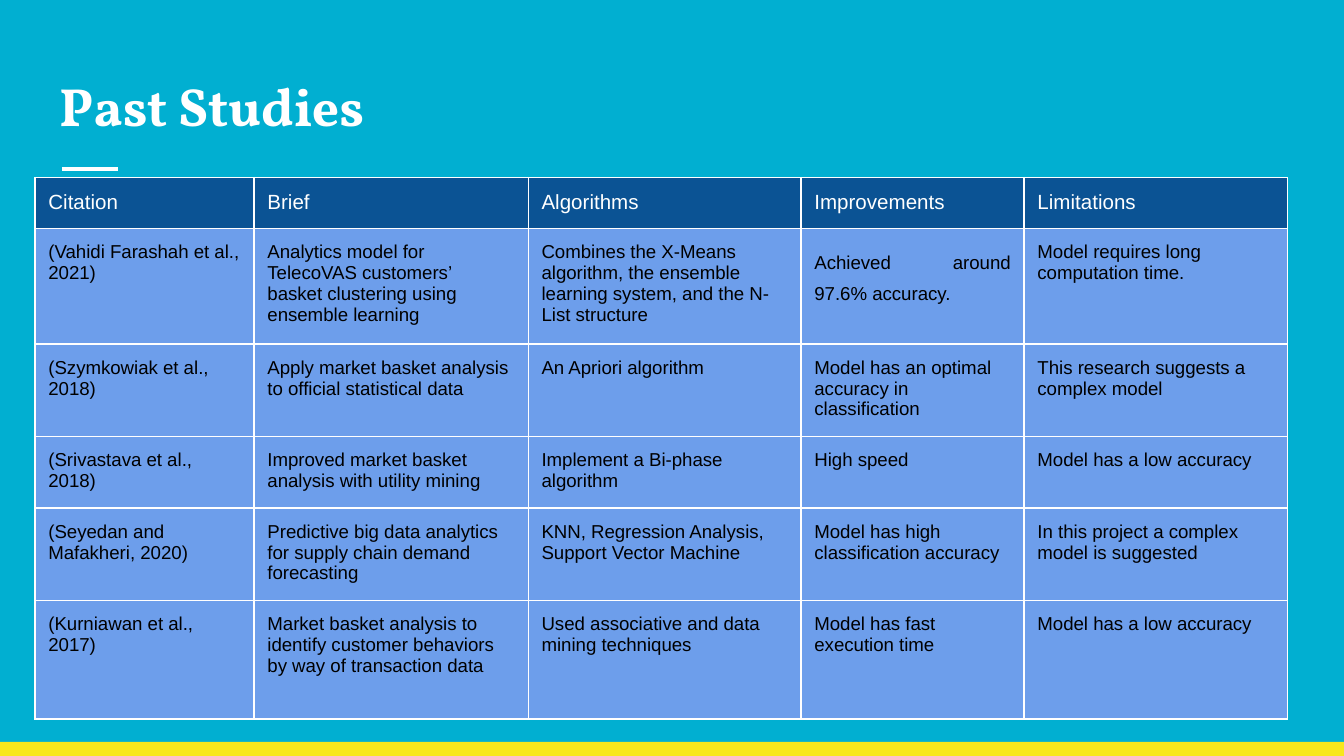
from lxml import etree
from pptx import Presentation
from pptx import util as u
from pptx.dml.color import RGBColor
from pptx.enum import shapes, text
from pptx.oxml import ns

Inches, Pt = u.Inches, u.Pt

TEAL = RGBColor(0x01, 0xAF, 0xD1)
YELLOW = RGBColor(0xF8, 0xE7, 0x1C)
NAVY = RGBColor(0x0B, 0x53, 0x94)
BLUE = RGBColor(0x6D, 0x9E, 0xEB)
WHITE = RGBColor(0xFF, 0xFF, 0xFF)
BLACK = RGBColor(0x00, 0x00, 0x00)

SLIDE_WIDTH = Inches(10)
SLIDE_HEIGHT = SLIDE_WIDTH * 9 // 16

TITLE = "Past Studies"
HEADERS = ["Citation", "Brief", "Algorithms", "Improvements", "Limitations"]
STUDIES = [
    ["(Vahidi Farashah et al., 2021)",
     "Analytics model for TelecoVAS customers’\nbasket clustering using ensemble learning",
     "Combines the X-Means algorithm, the ensemble learning system, and the N-List structure",
     "Achieved around 97.6% accuracy.",
     "Model requires long computation time."],
    ["(Szymkowiak et al., 2018)",
     "Apply market basket analysis to official statistical data",
     "An Apriori algorithm",
     "Model has an optimal accuracy in classification",
     "This research suggests a complex model"],
    ["(Srivastava et al., 2018)",
     "Improved market basket analysis with utility mining",
     "Implement a Bi-phase algorithm",
     "High speed",
     "Model has a low accuracy"],
    ["(Seyedan and Mafakheri, 2020)",
     "Predictive big data analytics for supply chain demand forecasting",
     "KNN, Regression Analysis,\nSupport Vector Machine",
     "Model has high classification accuracy",
     "In this project a complex model is suggested"],
    ["(Kurniawan et al., 2017)",
     "Market basket analysis to identify customer behaviors by way of transaction data",
     "Used associative and data mining techniques",
     "Model has fast execution time",
     "Model has a low accuracy"],
]
COLUMN_WIDTHS = [1.63, 2.04, 2.03, 1.66, 1.96]
ROW_HEIGHTS = [0.38, 0.86, 0.69, 0.53, 0.69, 0.88]
JUSTIFIED_CELL = (1, 3)


def write(frame, content, size, color, font="Arial", bold=False):
    frame.text = content
    for paragraph in frame.paragraphs:
        paragraph.alignment = text.PP_ALIGN.LEFT
        for run in paragraph.runs:
            run.font.name = font
            run.font.size = Pt(size)
            run.font.bold = bold
            run.font.color.rgb = color


def add_borders(cell, color, width):
    properties = cell._tc.get_or_add_tcPr()
    for index, side in enumerate(("lnL", "lnR", "lnT", "lnB")):
        line = etree.Element(ns.qn(f"a:{side}"), w=str(Pt(width)))
        fill = etree.SubElement(line, ns.qn("a:solidFill"))
        etree.SubElement(fill, ns.qn("a:srgbClr"), val=str(color))
        properties.insert(index, line)


def add_title(slide):
    title = slide.shapes.title
    title.left, title.top = Inches(0.34), Inches(0.41)
    title.width, title.height = Inches(9.32), Inches(0.71)
    frame = title.text_frame
    frame.margin_left = frame.margin_right = Inches(0.1)
    frame.margin_top = frame.margin_bottom = Inches(0.1)
    frame.vertical_anchor = text.MSO_ANCHOR.BOTTOM
    frame.auto_size = text.MSO_AUTO_SIZE.NONE
    frame.word_wrap = True
    write(frame, TITLE, 28.8, WHITE, font="Vollkorn", bold=True)


def add_decoration(slide):
    top = Inches(5.52)
    bar = slide.shapes.add_shape(
        shapes.MSO_SHAPE.RECTANGLE, 0, top, SLIDE_WIDTH, SLIDE_HEIGHT - top)
    bar.shadow.inherit = False
    bar.fill.solid()
    bar.fill.fore_color.rgb = YELLOW
    bar.line.fill.background()

    rule = slide.shapes.add_connector(
        shapes.MSO_CONNECTOR.STRAIGHT, Inches(0.46), Inches(1.26), Inches(0.88), Inches(1.26))
    rule.line.color.rgb = WHITE
    rule.line.width = Pt(2.25)
    etree.SubElement(rule._element.spPr, ns.qn("a:effectLst"))


def add_studies_table(slide):
    rows = [HEADERS] + STUDIES
    table = slide.shapes.add_table(
        len(rows), len(HEADERS), Inches(0.26), Inches(1.32),
        Inches(sum(COLUMN_WIDTHS)), Inches(sum(ROW_HEIGHTS))).table
    table.first_row = table.horz_banding = False
    for column, width in zip(table.columns, COLUMN_WIDTHS):
        column.width = Inches(width)
    for row, height in zip(table.rows, ROW_HEIGHTS):
        row.height = Inches(height)

    for r, row in enumerate(rows):
        fill, size, color = (BLUE, 10, BLACK) if r else (NAVY, 11, WHITE)
        for c, content in enumerate(row):
            cell = table.cell(r, c)
            cell.margin_left = cell.margin_right = Inches(0.1)
            cell.margin_top = cell.margin_bottom = Inches(0.1)
            cell.fill.solid()
            cell.fill.fore_color.rgb = fill
            write(cell.text_frame, content, size, color)
            add_borders(cell, WHITE, 0.75)

    paragraph = table.cell(*JUSTIFIED_CELL).text_frame.paragraphs[0]
    paragraph.alignment = text.PP_ALIGN.JUSTIFY
    paragraph.line_spacing = 1.5
    paragraph.space_before = paragraph.space_after = Pt(12)


def main():
    presentation = Presentation()
    presentation.slide_width, presentation.slide_height = SLIDE_WIDTH, SLIDE_HEIGHT
    slide = presentation.slides.add_slide(presentation.slide_layouts[5])
    slide.background.fill.solid()
    slide.background.fill.fore_color.rgb = TEAL
    add_decoration(slide)
    add_title(slide)
    add_studies_table(slide)
    presentation.save("out.pptx")


if __name__ == "__main__":
    main()
